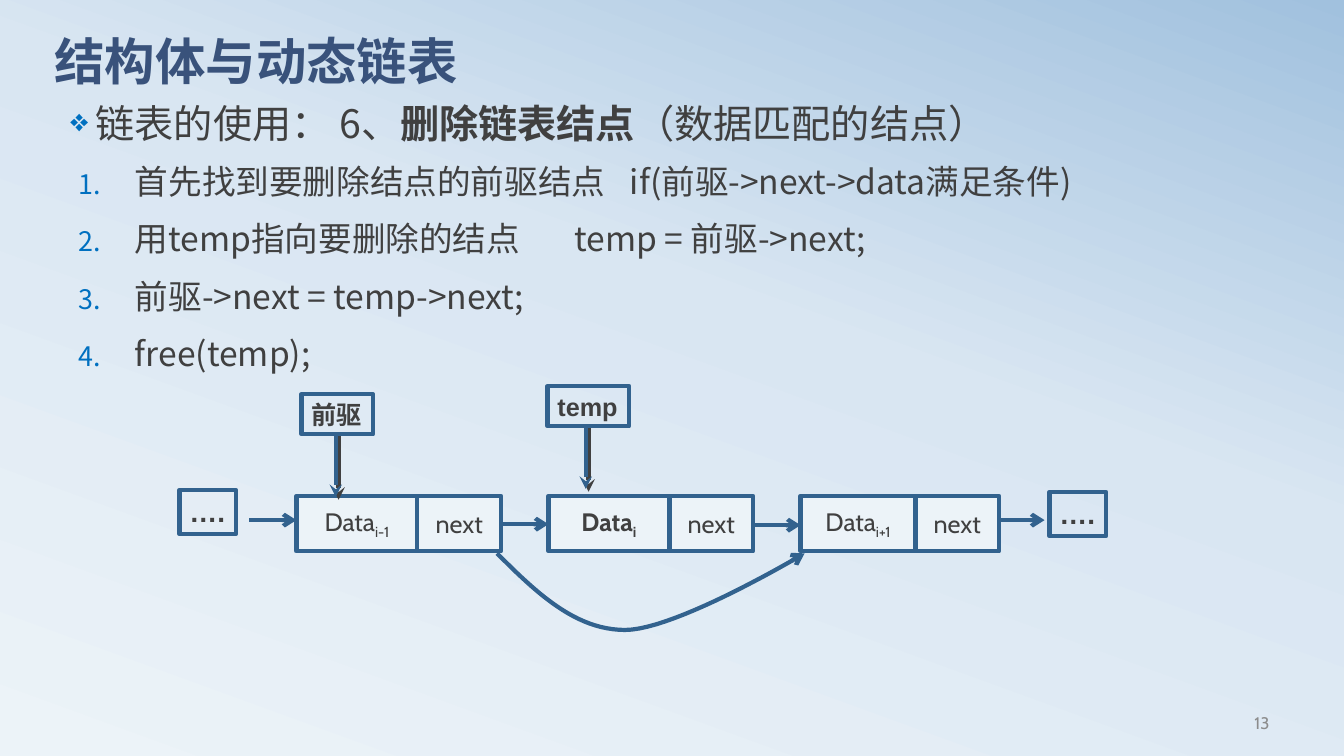
from dataclasses import dataclass

from lxml.etree import SubElement
from pptx import Presentation
from pptx.dml.color import RGBColor as RGB
from pptx.enum.shapes import MSO_CONNECTOR as CONN, MSO_SHAPE as SHAPE
from pptx.enum.text import MSO_ANCHOR as ANCHOR, PP_ALIGN as ALIGN
from pptx.oxml.ns import qn
from pptx.util import Inches, Pt

# Content
TITLE = "结构体与动态链表"
HEADING = [("链表的使用： 6、", False), ("删除链表结点", True), ("（数据匹配的结点）", False)]
STEPS = [  # text, tab stop in inches
    ("首先找到要删除结点的前驱结点\tif(前驱->next->data满足条件)", 5.47),
    ("用temp指向要删除的结点\ttemp = 前驱->next;", 4.92),
    ("前驱->next = temp->next;", None),
    ("free(temp);", None),
]
PAGE = "13"
NODES = [  # left, data width, subscript, bold
    (2.94, 1.2, "i-1", False),
    (5.44, 1.2, "i", True),
    (7.94, 1.14, "i+1", False),
]
LINKS = [(2.47, 2.94, 5.16), (4.96, 5.44, 5.2), (7.47, 7.94, 5.21), (9.89, 10.36, 5.16)]
ENDS = [(1.78, 4.86), (10.41, 4.88)]
POINTERS = [  # label, left, top, width, arrow x, font
    ("前驱", 2.99, 3.91, 0.71, 3.33, "Noto Sans CJK SC"),
    ("temp", 5.43, 3.83, 0.81, 5.81, "Arial"),
]
BYPASS = [  # Bezier control points
    [(4.93, 5.49), (5.31, 5.87), (5.7, 6.25), (6.2, 6.25)],
    [(6.2, 6.25), (6.71, 6.25), (7.98, 5.49), (7.98, 5.49)],
]


@dataclass(frozen=True)
class Theme:
    title: str = "39527B"
    text: str = "404040"
    bullet: str = "0070C0"
    line: str = "32628E"
    node: str = "ECF3F8"
    page: str = "8C8C8C"
    sky: tuple = ((0, "ECF3F8"), (58, "D9E6F2"), (100, "A1C1DE"))
    latin: str = "Cabin"
    cjk: str = "Noto Sans CJK SC"
    label: str = "Arial"
    title_pt: int = 36
    heading_pt: int = 28
    step_pt: int = 24
    end_pt: int = 20
    node_pt: int = 18
    page_pt: int = 12
    line_pt: int = 3


T = Theme()
NODE_TOP, NODE_H, NEXT_W = 4.92, 0.55, 0.83
LABEL_H, END_W, END_H = 0.4, 0.56, 0.44
POINTER_LEN = 0.63


def add_run(p, text, size, font=T.cjk, color=T.text, bold=False):
    r = p.add_run()
    r.text = text
    f = r.font
    f.size, f.name, f.bold = Pt(size), font, bold
    f.color.rgb = RGB.from_string(color)
    SubElement(r._r.get_or_add_rPr(), qn("a:ea"), typeface=T.cjk)
    return r


def add_color(parent, color):
    SubElement(parent, qn("a:srgbClr"), val=color)


def add_bullet(p, indent, tag, **attrs):
    pPr = p._p.get_or_add_pPr()
    pPr.set("marL", str(Inches(indent)))
    pPr.set("indent", str(-Inches(indent)))
    add_color(SubElement(pPr, qn("a:buClr")), T.bullet)
    SubElement(pPr, qn("a:buSzPct"), val="80000")
    SubElement(pPr, qn(tag), **attrs)
    return pPr


def add_text_box(s, x, y, w, h):
    tf = s.shapes.add_textbox(*map(Inches, (x, y, w, h))).text_frame
    tf.word_wrap = True
    return tf


def style_line(sp, arrow=None):
    sp.line.color.rgb = RGB.from_string(T.line)
    sp.line.width = Pt(T.line_pt)
    if arrow:
        SubElement(sp.line._get_or_add_ln(), qn("a:tailEnd"), type=arrow)


def add_box(s, x, y, w, h, fill=None):
    sp = s.shapes.add_shape(SHAPE.RECTANGLE, *map(Inches, (x, y, w, h)))
    sp.shadow.inherit = False
    style_line(sp)
    if fill:
        sp.fill.solid()
        sp.fill.fore_color.rgb = RGB.from_string(fill)
    else:
        sp.fill.background()
    tf = sp.text_frame
    tf.word_wrap = bool(fill)
    tf.vertical_anchor = ANCHOR.MIDDLE if fill else ANCHOR.TOP
    p = tf.paragraphs[0]
    p.alignment = ALIGN.CENTER if fill else ALIGN.LEFT
    return p


def add_arrow(s, x1, y1, x2, y2, head="arrow", shadow=False):
    c = s.shapes.add_connector(CONN.STRAIGHT, *map(Inches, (x1, y1, x2, y2)))
    style_line(c, head)
    effects = SubElement(c._element.spPr, qn("a:effectLst"))
    if shadow:
        add_color(SubElement(effects, qn("a:outerShdw"), dist=str(Pt(2.8)),
                             dir="2700000", algn="ctr", rotWithShape="0"), T.text)


def bezier(points, steps=24):
    a, b, c, d = points
    for i in range(steps + 1):
        t = i / steps
        u = 1 - t
        yield tuple(Inches(u**3 * a[k] + 3 * u * u * t * b[k] + 3 * u * t * t * c[k] + t**3 * d[k])
                    for k in (0, 1))


def add_background(s):
    fill = s.background.fill
    fill.gradient()
    fill.gradient_angle = 70
    stops = s.element.xpath(".//p:bg//a:gsLst")[0]
    for old in list(stops):
        stops.remove(old)
    for pos, color in T.sky:
        add_color(SubElement(stops, qn("a:gs"), pos=str(pos * 1000)), color)


def add_words(s):
    # Title
    title = s.shapes.title
    title.left, title.top, title.width, title.height = map(Inches, (0.44, 0.36, 12, 0.94))
    title.text_frame.vertical_anchor = ANCHOR.TOP
    p = title.text_frame.paragraphs[0]
    p.alignment, p.line_spacing = ALIGN.LEFT, 0.8
    add_run(p, TITLE, T.title_pt, T.latin, T.title, True)

    # Heading
    p = add_text_box(s, 0.6, 0.99, 10.95, 0.66).paragraphs[0]
    p.line_spacing = 0.9
    add_bullet(p, 0.25, "a:buChar", char="❖")
    for text, bold in HEADING:
        add_run(p, text, T.heading_pt, bold=bold)

    # Numbered steps
    tf = add_text_box(s, 0.68, 1.55, 10.47, 2.51)
    for i, (text, tab) in enumerate(STEPS):
        p = tf.add_paragraph() if i else tf.paragraphs[0]
        p.space_before = Pt(12)
        pPr = add_bullet(p, 0.56, "a:buAutoNum", type="arabicPeriod")
        if tab:
            SubElement(SubElement(pPr, qn("a:tabLst")), qn("a:tab"), pos=str(Inches(tab)), algn="l")
        add_run(p, text, T.step_pt)

    # Page number
    tf = add_text_box(s, 9.58, 6.97, 3.11, 0.4)
    tf.vertical_anchor = ANCHOR.MIDDLE
    p = tf.paragraphs[0]
    p.alignment = ALIGN.RIGHT
    add_run(p, PAGE, T.page_pt, T.latin, T.page)


def add_linked_list(s):
    # Nodes
    for x, w, sub, bold in NODES:
        p = add_box(s, x, NODE_TOP, w, NODE_H, T.node)
        add_run(p, "Data", T.node_pt, T.latin, bold=bold)
        r = add_run(p, sub, T.node_pt, T.latin, bold=bold)
        r._r.get_or_add_rPr().set("baseline", "-25000")
        p = add_box(s, x + w, NODE_TOP, NEXT_W, NODE_H, T.node)
        add_run(p, "next", T.node_pt, T.latin)

    # Links and list ends
    for x1, x2, y in LINKS:
        add_arrow(s, x1, y, x2, y)
    for x, y in ENDS:
        add_run(add_box(s, x, y, END_W, END_H), "….", T.end_pt, T.label, bold=True)

    # Pointers
    for label, x, y, w, arrow_x, font in POINTERS:
        start = y + LABEL_H - 0.01
        add_arrow(s, arrow_x, start, arrow_x, start + POINTER_LEN, "stealth", shadow=True)
        add_run(add_box(s, x, y, w, LABEL_H), label, T.node_pt, font, bold=True)

    # Bypass curve
    points = [pt for part in BYPASS for pt in bezier(part)]
    fb = s.shapes.build_freeform(*points[0])
    fb.add_line_segments(points[1:], close=False)
    sp = fb.convert_to_shape()
    sp.shadow.inherit = False
    sp.fill.background()
    style_line(sp, "arrow")


def main():
    prs = Presentation()
    prs.slide_width, prs.slide_height = Inches(13.33), Inches(7.5)
    s = prs.slides.add_slide(prs.slide_layouts[5])
    add_background(s)
    add_words(s)
    add_linked_list(s)
    prs.save("out.pptx")


if __name__ == "__main__":
    main()
